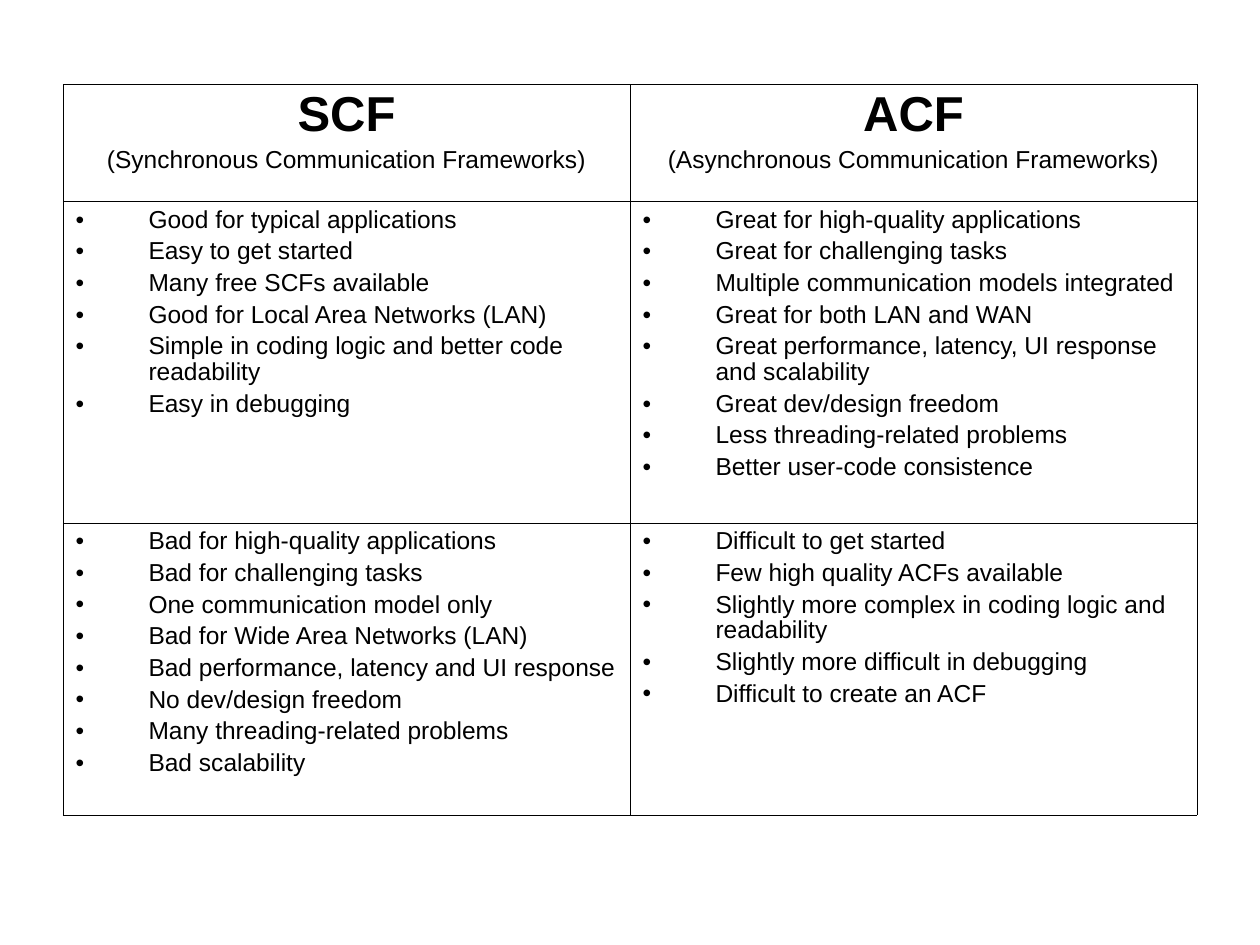
from lxml import etree
from pptx import Presentation, util as u
from pptx.dml.color import RGBColor
from pptx.enum import text
from pptx.oxml.ns import qn

COLORS = {"ink": "000000", "page": "FFFFFF"}
THIN, EDGE = 0.11, 0.23
INDENT, STEP, STOPS = 1.47, 2.54, 8

HEADS = [
    ("SCF", "(Synchronous Communication Frameworks)"),
    ("ACF", "(Asynchronous Communication Frameworks)"),
]
PROS = [
    ["Good for typical applications", "Easy to get started",
     "Many free SCFs available", "Good for Local Area Networks (LAN)",
     "Simple in coding logic and better code readability",
     "Easy in debugging"],
    ["Great for high-quality applications", "Great for challenging tasks",
     "Multiple communication models integrated",
     "Great for both LAN and WAN",
     "Great performance, latency, UI response and scalability",
     "Great dev/design freedom", "Less threading-related problems",
     "Better user-code consistence"],
]
CONS = [
    ["Bad for high-quality applications", "Bad for challenging tasks",
     "One communication model only", "Bad for Wide Area Networks (LAN)",
     "Bad performance, latency and UI response",
     "No dev/design freedom", "Many threading-related problems",
     "Bad scalability"],
    ["Difficult to get started", "Few high quality ACFs available",
     "Slightly more complex in coding logic and readability",
     "Slightly more difficult in debugging", "Difficult to create an ACF"],
]


def add_color(node, color):
    etree.SubElement(node, qn("a:srgbClr"), val=COLORS[color])


class Deck:
    def __init__(self):
        self.prs = Presentation()
        self.prs.slide_width, self.prs.slide_height = u.Cm(25.4), u.Cm(19.05)
        self.slide = self.prs.slides.add_slide(self.prs.slide_layouts[6])
        back = self.slide.background.fill
        back.solid()
        back.fore_color.rgb = RGBColor.from_string(COLORS["page"])
        self.base = {"name": "Arial", "size": u.Pt(14), "bold": False}

    def table(self, left, top, widths, heights):
        table = self.slide.shapes.add_table(
            len(heights), len(widths), u.Cm(left), u.Cm(top),
            u.Cm(sum(widths)), u.Cm(sum(heights))).table
        table.first_row = table.horz_banding = False
        for col, width in zip(table.columns, widths):
            col.width = u.Cm(width)
        for row, height in zip(table.rows, heights):
            row.height = u.Cm(height)
        return table

    def border(self, cell, sides):
        """Draw the cell's lines; sides maps L, R, T, B to points."""
        props = cell._tc.get_or_add_tcPr()
        for side, width in sides.items():
            line = etree.SubElement(props, qn(f"a:ln{side}"),
                                    w=str(int(u.Pt(width))))
            add_color(etree.SubElement(line, qn("a:solidFill")), "ink")
        cell.fill.background()

    def para(self, cell, index, words, bullet=False, **style):
        frame = cell.text_frame
        para = frame.add_paragraph() if index else frame.paragraphs[0]
        props = para._p.get_or_add_pPr()
        start = INDENT if bullet else 0
        if bullet:
            props.set("marL", str(u.Cm(INDENT)))
            props.set("indent", str(-u.Cm(INDENT)))
            add_color(etree.SubElement(props, qn("a:buClr")), "ink")
            etree.SubElement(props, qn("a:buFont"), typeface="Arial")
            etree.SubElement(props, qn("a:buChar"), char="•")
        tabs = etree.SubElement(props, qn("a:tabLst"))
        for stop in range(STOPS):
            etree.SubElement(tabs, qn("a:tab"), algn="l",
                             pos=str(u.Cm(start + stop * STEP)))
        align = text.PP_ALIGN.LEFT if bullet else text.PP_ALIGN.CENTER
        form = {"alignment": align, "line_spacing": 0.93,
                "space_before": u.Pt(3.5 if index else 0)}
        for key, value in form.items():
            setattr(para, key, value)
        run = para.add_run()
        run.text = words
        for key, value in {**self.base, **style}.items():
            setattr(run.font, key, value)
        run.font.color.rgb = RGBColor.from_string(COLORS["ink"])

    def head(self, cell, name, note):
        self.para(cell, 0, name, size=u.Pt(28), bold=True)
        self.para(cell, 1, note)

    def points(self, cell, items):
        for index, item in enumerate(items):
            self.para(cell, index, item, bullet=True)


def main():
    deck = Deck()
    table = deck.table(1.27, 1.7, [11.43] * 2, [2.36, 6.48, 5.89])
    for col, head in enumerate(HEADS):
        deck.head(table.cell(0, col), *head)
        for row, lists in enumerate([PROS, CONS], 1):
            deck.points(table.cell(row, col), lists[col])
        for row in range(3):
            deck.border(table.cell(row, col), {
                "L": EDGE if col == 0 else THIN,
                "R": EDGE if col == 1 else THIN,
                "T": EDGE if row == 0 else THIN,
                "B": EDGE if row == 2 else THIN})
    deck.prs.save("out.pptx")


if __name__ == "__main__":
    main()
